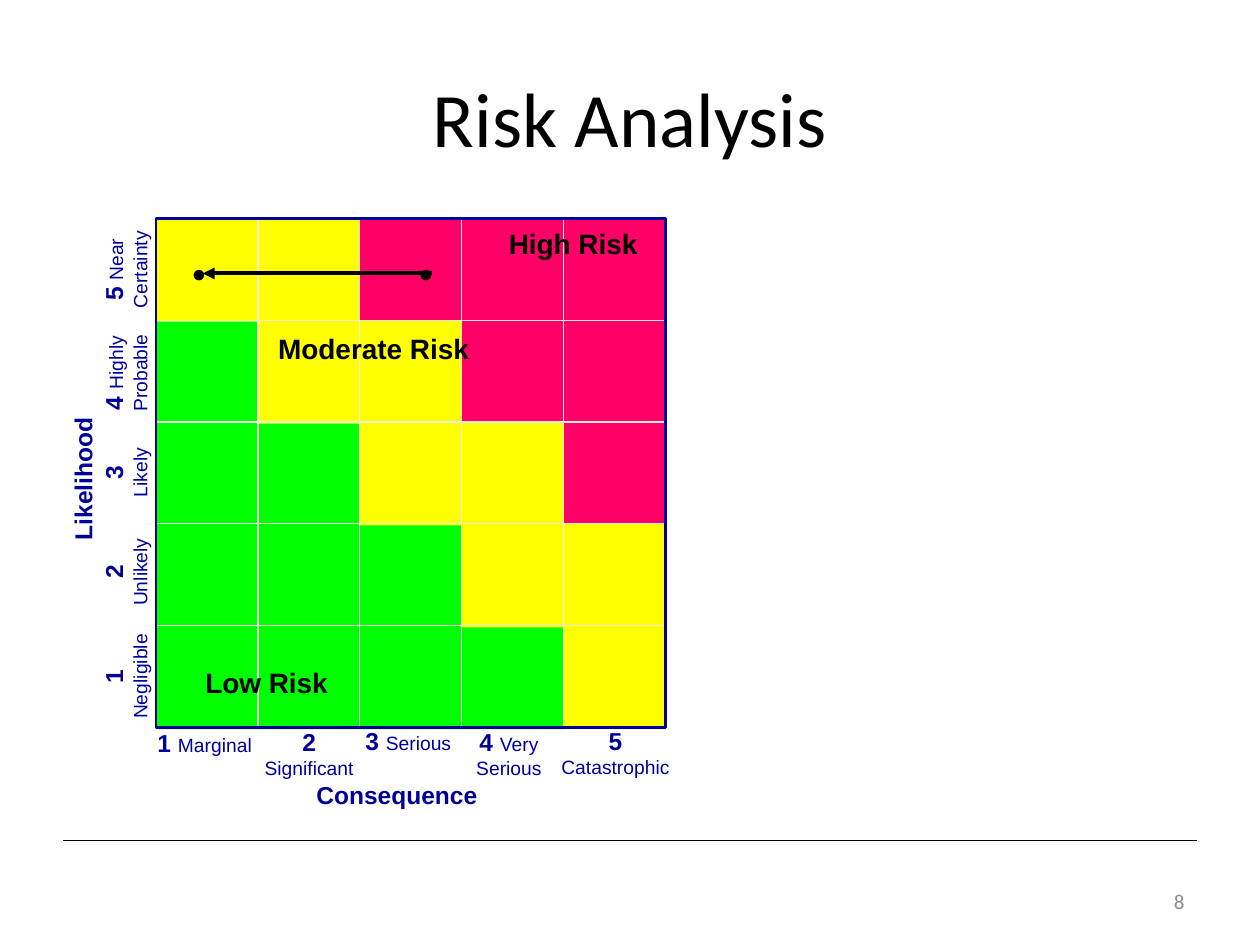
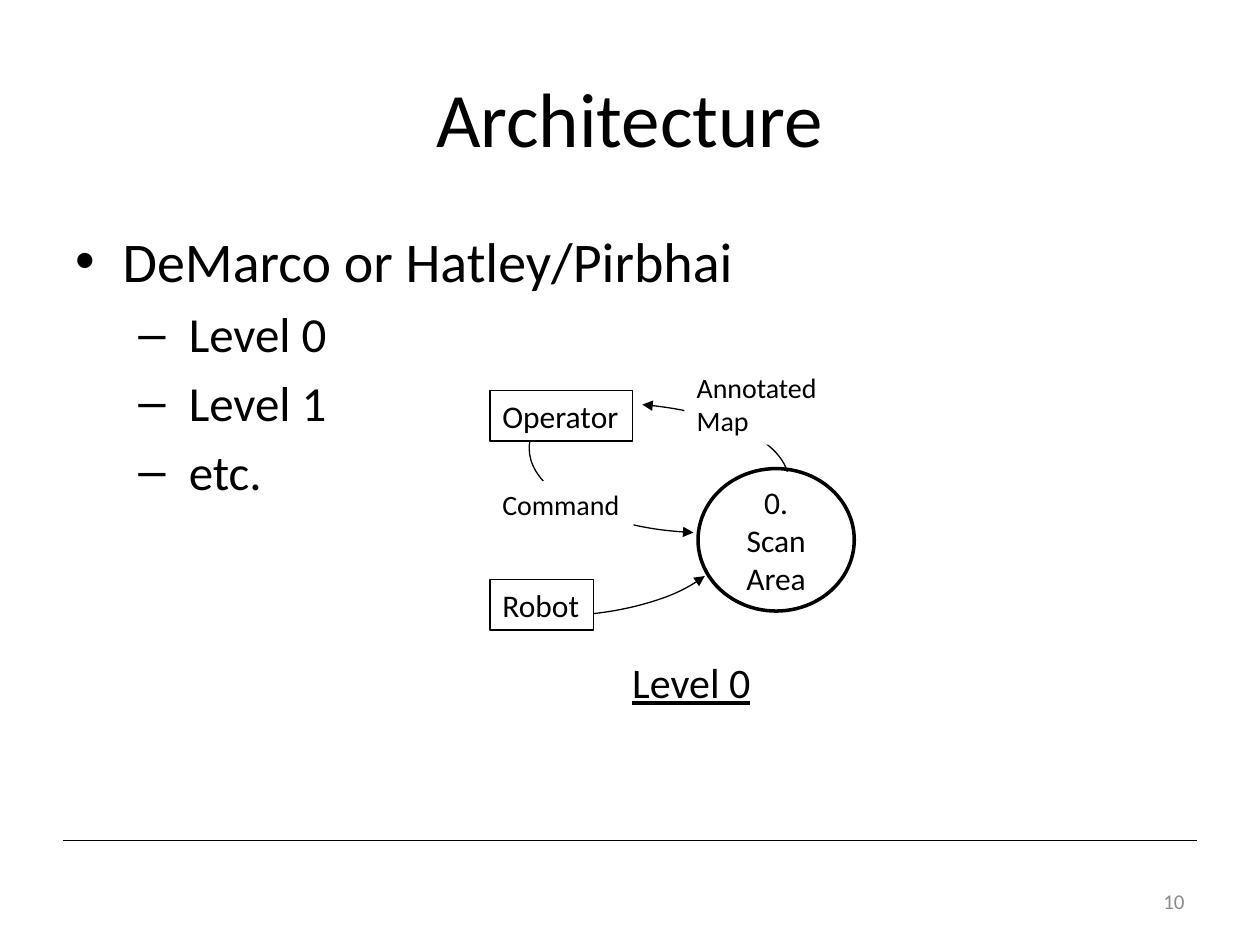
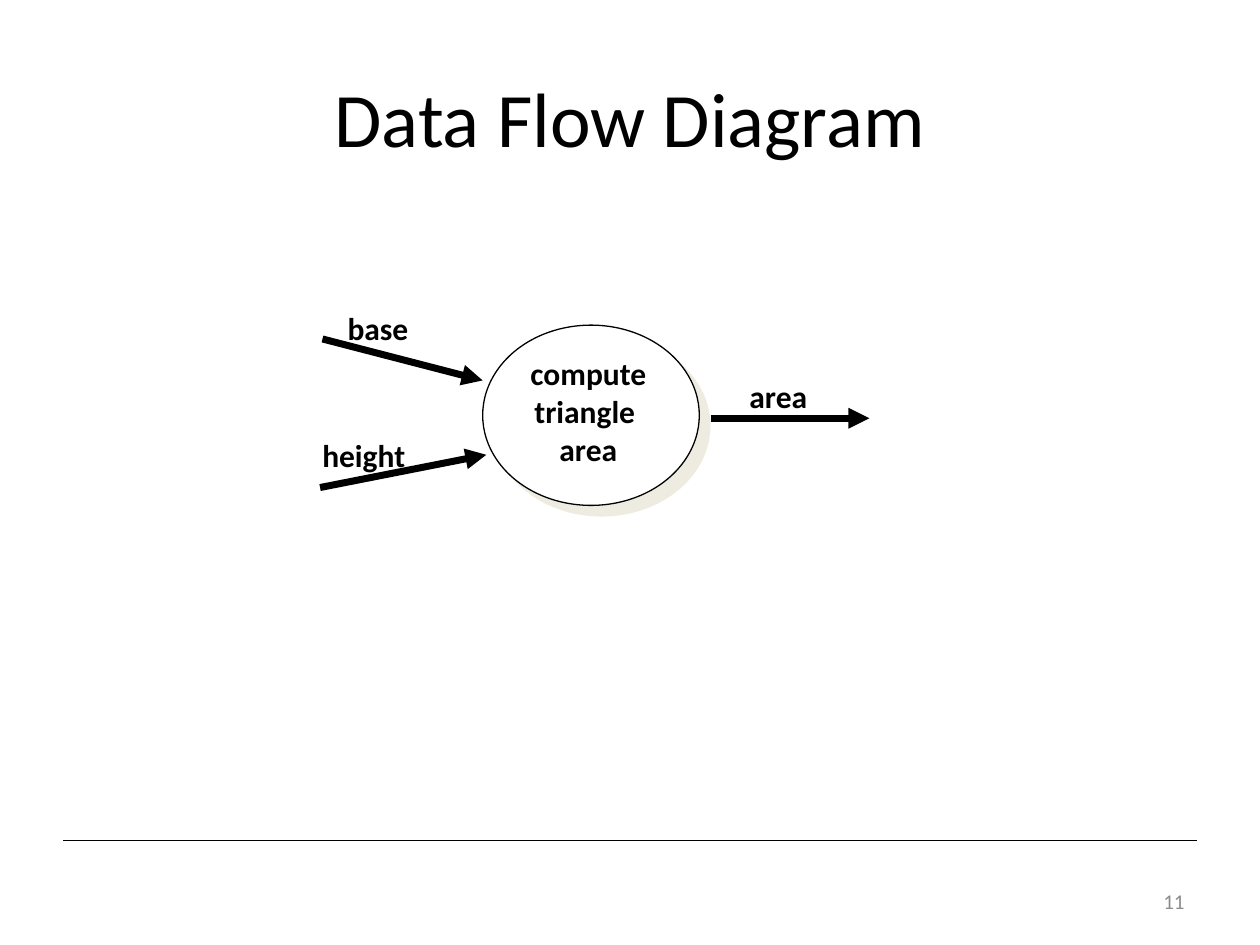
"""Build three slides: a risk matrix, a level 0 architecture and a data flow diagram."""
from lxml.etree import SubElement
from pptx import Presentation
from pptx.dml.color import RGBColor
from pptx.enum.shapes import MSO_CONNECTOR, MSO_SHAPE
from pptx.enum.text import MSO_ANCHOR, PP_ALIGN
from pptx.oxml.ns import qn
from pptx.util import Pt

C = {
    "black": "000000", "white": "FFFFFF", "gray": "8C8C8C", "navy": "000099",
    "cream": "EEECE1", "yellow": "FFFF00", "green": "00FF00", "red": "FF0066",
}
RGB = {name: RGBColor.from_string(value) for name, value in C.items()}
LEFT, CENTER, RIGHT = PP_ALIGN.LEFT, PP_ALIGN.CENTER, PP_ALIGN.RIGHT

prs = Presentation()
prs.slide_width, prs.slide_height = Pt(720), Pt(540)


def add_text(s, box, paras, color="black", font="Calibri", align=LEFT, wrap=False,
             anchor=MSO_ANCHOR.TOP, shape=None, fill=None, line=None, width=0.75):
    """Add a text box or preset shape; paras holds lists of (text, size, bold) runs."""
    box = [Pt(v) for v in box]
    sp = s.shapes.add_shape(shape, *box) if shape else s.shapes.add_textbox(*box)
    if shape:
        sp.shadow.inherit = False
    if fill:
        sp.fill.solid()
        sp.fill.fore_color.rgb = RGB[fill]
    else:
        sp.fill.background()
    if line:
        sp.line.color.rgb = RGB[line]
        sp.line.width = Pt(width)
    else:
        sp.line.fill.background()
    tf = sp.text_frame
    tf.word_wrap = wrap
    tf.vertical_anchor = anchor
    for i, runs in enumerate(paras):
        p = tf.add_paragraph() if i else tf.paragraphs[0]
        p.alignment = align
        for text, size, bold in runs:
            if text == "\n":
                p.add_line_break()
                continue
            r = p.add_run()
            r.text = text
            r.font.name, r.font.size, r.font.bold = font, Pt(size), bold
            r.font.color.rgb = RGB[color]
    return sp


def add_line(s, x1, y1, x2, y2, color="black", width=0.75, arrow=False):
    """Add a straight line, with an arrowhead at its end if asked."""
    cx = s.shapes.add_connector(MSO_CONNECTOR.STRAIGHT, Pt(x1), Pt(y1), Pt(x2), Pt(y2))
    cx.line.color.rgb = RGB[color]
    cx.line.width = Pt(width)
    if arrow:
        SubElement(cx.line._get_or_add_ln(), qn("a:tailEnd"), type="triangle")
    SubElement(cx._element.spPr, qn("a:effectLst"))


slides = []
for title, number in (("Risk Analysis", "8"), ("Architecture", "10"), ("Data Flow Diagram", "11")):
    s = prs.slides.add_slide(prs.slide_layouts[6])
    add_line(s, 36, 480.25, 684, 480.25, width=0.5)
    add_text(s, (36, 21.6, 648, 90), [[(title, 44, False)]], align=CENTER, wrap=True,
             anchor=MSO_ANCHOR.MIDDLE)
    add_text(s, (516.25, 500.4, 167.75, 28.8), [[(number, 12, False)]], color="gray",
             align=RIGHT, wrap=True, anchor=MSO_ANCHOR.MIDDLE)
    slides.append(s)
risk, architecture, flow = slides

s = risk
x0, y0, cell = 89.25, 124.75, 58.2
side = 5 * cell
add_text(s, (x0, y0, side, side), [], shape=MSO_SHAPE.RECTANGLE, fill="yellow")
low = [(0, 5), (0, 1)] + [pt for i in range(1, 5) for pt in ((i, i), (i, i + 1))]
high = [(2, 0), (5, 0)] + [pt for i in (3, 2, 1) for pt in ((i + 2, i), (i + 1, i))]
for stairs, color, drop in ((low, "green", 0.9), (high, "red", 0)):
    pts = [(Pt(x0 + cell * col), Pt(y0 + drop + cell * row)) for col, row in stairs]
    builder = s.shapes.build_freeform(*pts[0])
    builder.add_line_segments(pts[1:], close=True)
    sp = builder.convert_to_shape()
    sp.shadow.inherit = False
    sp.fill.solid()
    sp.fill.fore_color.rgb = RGB[color]
    sp.line.fill.background()
for i in range(1, 5):
    add_line(s, x0 + i * cell, y0, x0 + i * cell, y0 + side, color="cream")
    add_line(s, x0, y0 + i * cell, x0 + side, y0 + i * cell, color="cream")

axis = dict(color="navy", font="Arial", align=CENTER)
likelihoods = (
    (["1 "], "Negligible", 386.6, 65.5), (["2", "\n"], "Unlikely", 326.9, 71.3),
    (["3", "\n"], "Likely", 270, 55.4), (["4 "], "Highly Probable", 213.1, 68.4),
    (["5 "], "Near Certainty", 154.1, 75.6),
)
for rank, label, mid, w in likelihoods:
    runs = [(text, 14, True) for text in rank] + [(label, 11, False)]
    sp = add_text(s, (72.3 - w / 2, mid - 19.45, w, 38.9), [runs], wrap=True, **axis)
    sp.rotation = 270
sp = add_text(s, (5, 261.4, 85, 24.5), [[("Likelihood", 14, True)]], **axis)
sp.rotation = 270
consequences = (
    ("Marginal", 82.8, 412.6, 68.4), ("Significant", 141.8, 411.8, 69.8),
    ("Serious", 201.6, 411.1, 63.4), ("Very Serious", 256.3, 411.8, 69.1),
    ("Catastrophic", 310.3, 411.1, 82.8),
)
for rank, (label, x, y, w) in enumerate(consequences, 1):
    add_text(s, (x, y, w, 38.9), [[(f"{rank} ", 14, True), (label, 11, False)]],
             wrap=True, **axis)
add_text(s, (173.5, 442.1, 106.6, 24.5), [[("Consequence", 14, True)]], **axis)
for label, x, y, w in (("High Risk", 283.7, 126, 89.3), ("Moderate Risk", 151.9, 185.8, 125.3),
                       ("Low Risk", 110.2, 376.6, 85.7)):
    add_text(s, (x, y, w, 26.6), [[(label, 16, True)]], font="Arial")
add_text(s, (x0, y0, side, side), [], shape=MSO_SHAPE.RECTANGLE, line="navy", width=1.5)
for x in (229, 99.4):
    add_text(s, (x, 144, 28.8, 24.5), [[("●", 14, False)]], font="Arial", align=CENTER, wrap=True)
add_line(s, 247, 156.25, 115.9, 156.25, width=2.25, arrow=True)

s = architecture
items = (("DeMarco or Hatley/Pirbhai", 32, "•", 27, 27, 0), (" Level 0", 28, "–", 58.5, 22.5, 1),
         (" Level 1", 28, "–", 58.5, 22.5, 1), (" etc.", 28, "–", 58.5, 22.5, 1))
sp = add_text(s, (36, 126, 648, 356.4), [[(text, size, False)] for text, size, *_ in items], wrap=True)
for p, (_, size, bullet, margin, hang, level) in zip(sp.text_frame.paragraphs, items):
    p.space_before = Pt(size * 0.2)
    p.level = level
    pPr = p._p.get_or_add_pPr()
    pPr.set("marL", str(Pt(margin)))
    pPr.set("indent", str(-Pt(hang)))
    SubElement(pPr, qn("a:buFont"), typeface="Arial")
    SubElement(pPr, qn("a:buChar"), char=bullet)

box = dict(shape=MSO_SHAPE.RECTANGLE)
add_text(s, (398.9, 267.8, 89.3, 81.4), [[("0.", 18, False)], [("Scan Area", 18, False)]],
         align=CENTER, wrap=True, anchor=MSO_ANCHOR.MIDDLE, shape=MSO_SHAPE.OVAL,
         fill="white", line="black", width=2)
add_text(s, (280, 223.2, 81.4, 28.8), [[("Operator", 18, False)]], line="black", **box)
add_text(s, (280, 331.2, 59, 28.8), [[("Robot", 18, False)]], line="black", **box)
arcs = ((242.6, 230.4, 89.3, 295, 357), (302.4, 208.1, 96.5, 102, 182), (210.2, 255.6, 96.5, 16, 62))
for x, y, h, start, end in arcs:
    sp = add_text(s, (x, y, 208.1, h), [], shape=MSO_SHAPE.ARC, line="black")
    sp.adjustments[0], sp.adjustments[1] = start * 0.6, end * 0.6
    SubElement(sp.line._get_or_add_ln(), qn("a:headEnd"), type="triangle")
add_text(s, (391, 208.1, 87.8, 46.1), [[("Annotated ", 16, False)], [("Map", 16, False)]],
         fill="white", **box)
add_text(s, (280, 275, 82.1, 26.6), [[("Command", 16, False)]], fill="white", **box)
sp = add_text(s, (354.2, 371.5, 82.8, 36), [[("Level 0", 24, False)]])
sp.text_frame.paragraphs[0].runs[0].font.underline = True

s = flow
sp = add_text(s, (275.8, 185.8, 123.8, 103), [], shape=MSO_SHAPE.OVAL, fill="white", line="black")
effects = sp._element.spPr.find(qn("a:effectLst"))
shadow = SubElement(effects, qn("a:outerShdw"), dist=str(Pt(8.5)), dir="2700000",
                    algn="ctr", rotWithShape="0")
SubElement(shadow, qn("a:srgbClr"), val=C["cream"])
add_text(s, (295.9, 198.7, 80.6, 94.3),
         [[(word, 18, True)] for word in ("compute", "triangle ", "area")], align=CENTER)
for ends in ((184.3, 193.7, 275.8, 217.4), (182.9, 278.6, 277.9, 259.9), (406.1, 239, 496.8, 239)):
    add_line(s, *ends, width=4, arrow=True)
for label, x, y, w in (("base", 191.5, 172.8, 49.7), ("height", 177.1, 245.5, 61.9),
                       ("area", 421.2, 211.7, 47.5)):
    add_text(s, (x, y, w, 28.8), [[(label, 18, True)]])

prs.save("out.pptx")
